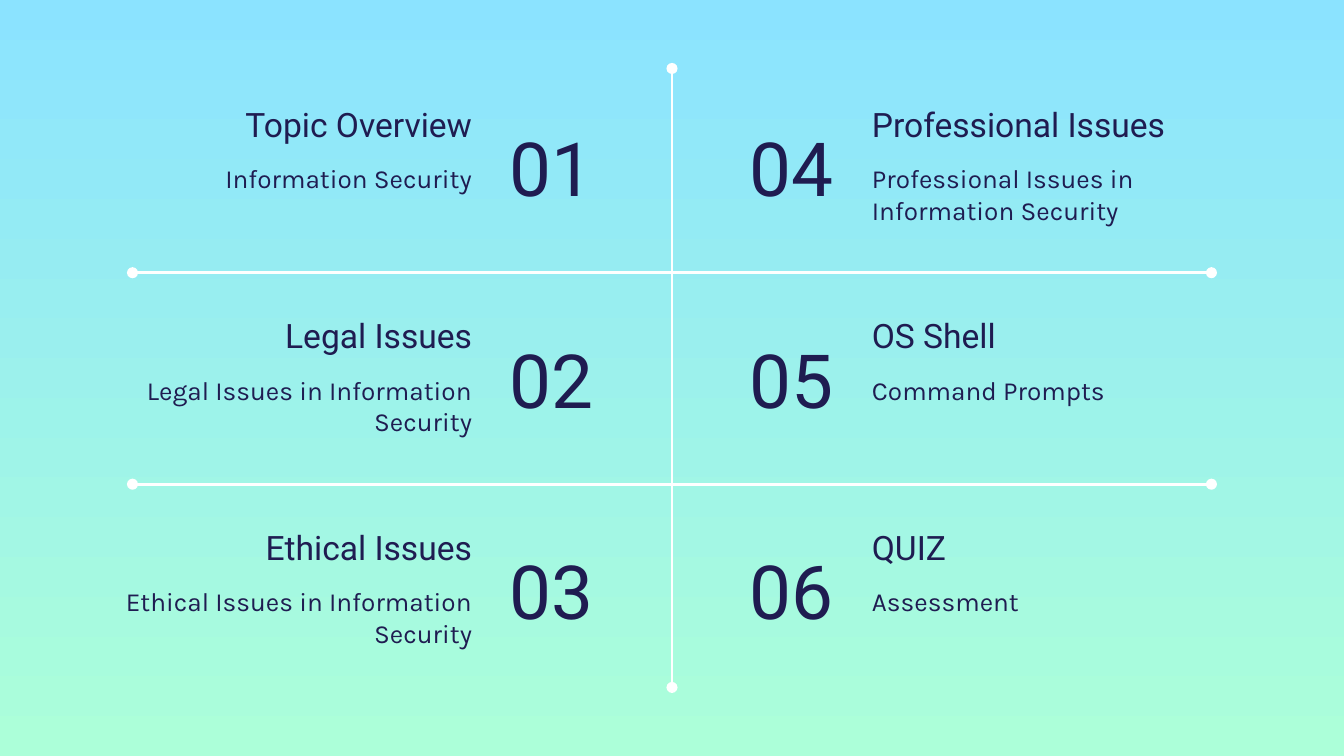
from dataclasses import dataclass

import pptx
import pptx.dml.color
import pptx.enum.shapes
import pptx.enum.text
import pptx.oxml.xmlchemy
import pptx.util
from pptx.oxml.ns import qn

Pt = pptx.util.Pt
RGB = pptx.dml.color.RGBColor.from_string
ALIGN = pptx.enum.text.PP_ALIGN
ANCHOR = pptx.enum.text.MSO_ANCHOR


@dataclass(frozen=True)
class Theme:
    sky: str = "8BE3FF"
    mint: str = "ACFFD9"
    ink: str = "1F1C51"
    rule: str = "FFFFFF"
    heading_font: str = "Roboto"
    body_font: str = "Karla"
    number_size: float = 40
    heading_size: float = 18
    body_size: float = 14
    rule_width: float = 1.5
    inset: float = 7.2


class Deck:
    def __init__(self, theme, width, height):
        self.theme = theme
        self.prs = pptx.Presentation()
        self.prs.slide_width, self.prs.slide_height = Pt(width), Pt(height)
        self.s = None

    def add_slide(self):
        self.s = self.prs.slides.add_slide(self.prs.slide_layouts[6])
        fill = self.s.background.fill
        fill.gradient()
        fill.gradient_angle = 270
        for stop, color in zip(fill.gradient_stops, (self.theme.sky, self.theme.mint)):
            stop.color.rgb = RGB(color)

    def text(self, text, box, font, size, align, anchor):
        sp = self.s.shapes.add_textbox(*map(Pt, box))
        tf = sp.text_frame
        tf.word_wrap = True
        tf.vertical_anchor = anchor
        tf.margin_left = tf.margin_right = Pt(self.theme.inset)
        tf.margin_top = tf.margin_bottom = Pt(self.theme.inset)
        p = tf.paragraphs[0]
        p.text = text
        p.alignment = align
        p.font.name, p.font.size = font, Pt(size)
        p.font.color.rgb = RGB(self.theme.ink)

    def rule(self, x1, y1, x2, y2):
        """Draw a straight line with a dot at each end."""
        line = self.s.shapes.add_connector(
            pptx.enum.shapes.MSO_CONNECTOR.STRAIGHT, *map(Pt, (x1, y1, x2, y2)))
        line.line.color.rgb = RGB(self.theme.rule)
        line.line.width = Pt(self.theme.rule_width)
        ln = line.line._get_or_add_ln()
        for tag in ("a:headEnd", "a:tailEnd"):
            ln.append(pptx.oxml.xmlchemy.OxmlElement(tag))
            ln[-1].set("type", "oval")
        line._element.spPr.append(pptx.oxml.xmlchemy.OxmlElement("a:effectLst"))

    def topic(self, number, heading, body, y, text_x, number_x, text_align, number_align):
        t = self.theme
        self.text(number, (number_x, y + 10, 93.6, 62),
                  t.heading_font, t.number_size, number_align, ANCHOR.MIDDLE)
        self.text(heading, (text_x, y, 214.6, 36),
                  t.heading_font, t.heading_size, text_align, ANCHOR.BOTTOM)
        self.text(body, (text_x, y + 31.5, 214.6, 49.7),
                  t.body_font, t.body_size, text_align, ANCHOR.TOP)


COLUMNS = [
    ((45.4, 266, ALIGN.RIGHT, ALIGN.LEFT), [
        ("Topic Overview", "Information Security"),
        ("Legal Issues", "Legal Issues in Information Security"),
        ("Ethical Issues", "Ethical Issues in Information Security"),
    ]),
    ((460, 360, ALIGN.LEFT, ALIGN.RIGHT), [
        ("Professional Issues", "Professional Issues in Information Security"),
        ("OS Shell", "Command Prompts"),
        ("QUIZ", "Assessment"),
    ]),
]
ROW_TOP, ROW_PITCH = 48.4, 113.3


def main():
    deck = Deck(Theme(), 720, 405)
    deck.add_slide()
    deck.rule(360, 36.7, 360, 368.3)
    for row in range(2):
        y = 146.1 + row * ROW_PITCH
        deck.rule(71, y, 649, y)
    for col, (placement, topics) in enumerate(COLUMNS):
        for row, (heading, body) in enumerate(topics):
            number = f"{col * len(topics) + row + 1:02d}"
            deck.topic(number, heading, body, ROW_TOP + row * ROW_PITCH, *placement)
    deck.prs.save("out.pptx")


if __name__ == "__main__":
    main()
